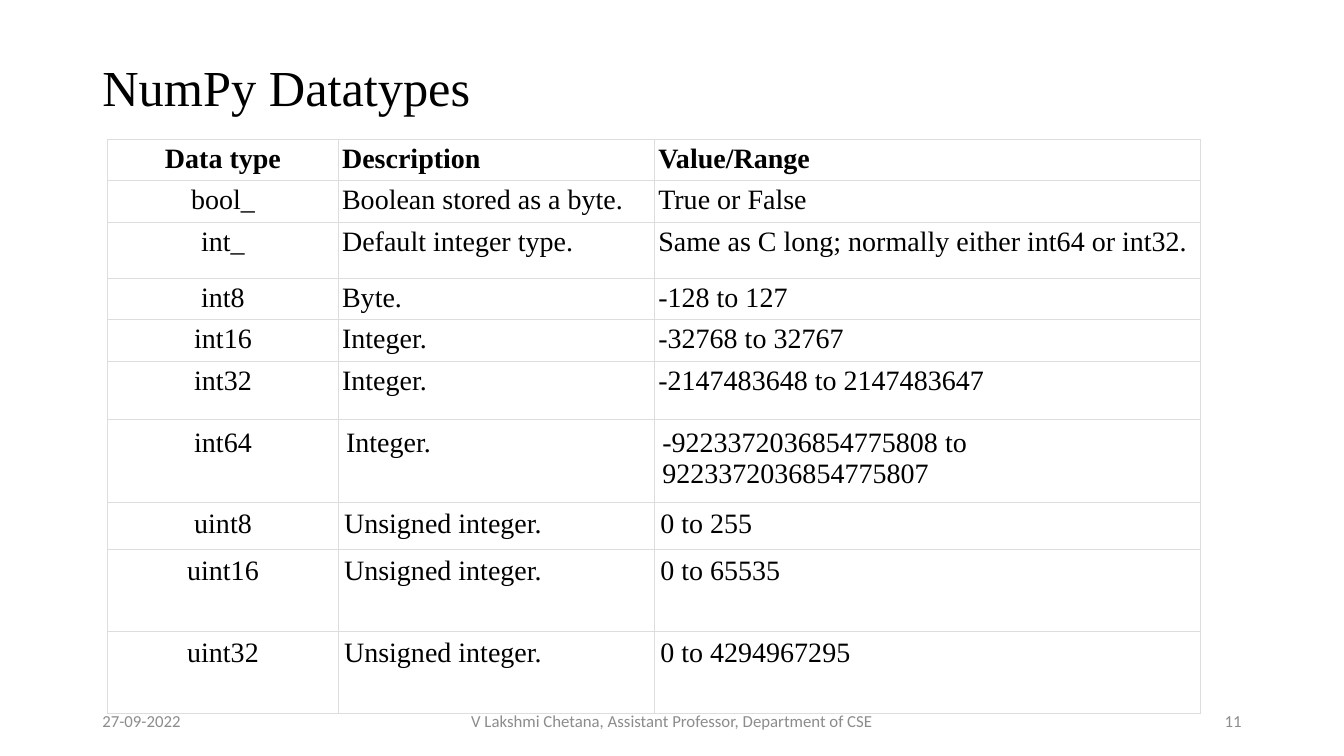
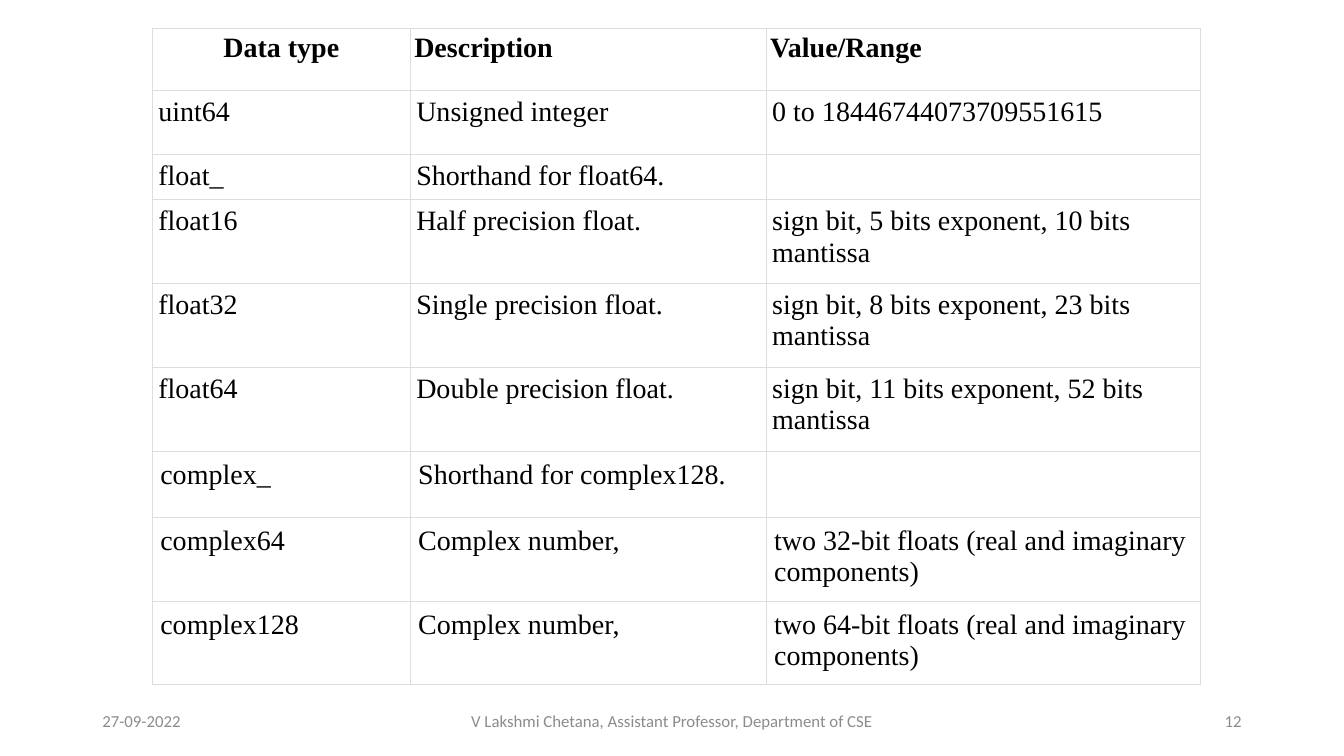
"""Build two slides of NumPy datatype tables."""
from dataclasses import dataclass

from lxml import etree
from pptx import Presentation
from pptx import util as u
from pptx.dml.color import RGBColor
from pptx.enum import text
from pptx.oxml import ns

LEFT, MID, RIGHT = text.PP_ALIGN.LEFT, text.PP_ALIGN.CENTER, text.PP_ALIGN.RIGHT


@dataclass(frozen=True)
class Theme:
    ink: str = "000000"
    paper: str = "FFFFFF"
    rule: str = "DDDDDD"
    faint: str = "8C8C8C"
    serif: str = "Times New Roman"
    sans: str = "Calibri"
    title: int = 36
    body: int = 20
    foot: int = 12
    line: float = 0.75


THEME = Theme()
HEAD = ("Data type", "Description", "Value/Range")
DATE = "27-09-2022"
AUTHOR = "V Lakshmi Chetana, Assistant Professor, Department of CSE"

SLIDES = [
    {
        "page": 11,
        "title": "NumPy Datatypes",
        "spot": (2.72, 3.51),
        "cols": (5.8, 7.97, 13.77),
        "key": MID,
        "rows": [
            (1.01, 0.1, HEAD),
            (1.01, 0.1, ("bool_", "Boolean stored as a byte.", "True or False")),
            (1.4, 0.1, ("int_", "Default integer type.",
                        "Same as C long; normally either int64 or int32.")),
            (1.01, 0.1, ("int8", "Byte.", "-128 to 127")),
            (1.01, 0.1, ("int16", "Integer.", "-32768 to 32767")),
            (1.47, 0.1, ("int32", "Integer.", "-2147483648 to 2147483647")),
            (2.07, 0.2, ("int64", "Integer.",
                         "-9223372036854775808 to 9223372036854775807")),
            (1.17, 0.15, ("uint8", "Unsigned integer.", "0 to 255")),
            (2.07, 0.15, ("uint16", "Unsigned integer.", "0 to 65535")),
            (2.07, 0.15, ("uint32", "Unsigned integer.", "0 to 4294967295")),
        ],
    },
    {
        "page": 12,
        "title": "",
        "spot": (3.84, 0.71),
        "cols": (6.5, 8.97, 10.95),
        "key": LEFT,
        "rows": [
            (1.58, 0.1, HEAD),
            (1.6, 0.15, ("uint64", "Unsigned integer", "0 to 18446744073709551615")),
            (1.11, 0.15, ("float_", "Shorthand for float64.", "")),
            (2.11, 0.15, ("float16", "Half precision float.",
                          "sign bit, 5 bits exponent, 10 bits mantissa")),
            (2.11, 0.15, ("float32", "Single precision float.",
                          "sign bit, 8 bits exponent, 23 bits mantissa")),
            (2.11, 0.15, ("float64", "Double precision float.",
                          "sign bit, 11 bits exponent, 52 bits mantissa")),
            (1.67, 0.2, ("complex_", "Shorthand for complex128.", "")),
            (2.11, 0.2, ("complex64", "Complex number,",
                         "two 32-bit floats (real and imaginary components)")),
            (2.11, 0.2, ("complex128", "Complex number,",
                         "two 64-bit floats (real and imaginary components)")),
        ],
    },
]


def style(para, size, face, tint, align=LEFT, bold=False):
    """Align a paragraph and format its runs."""
    para.alignment = align
    for run in para.runs:
        font = run.font
        font.size, font.name, font.bold = u.Pt(size), face, bold
        font.color.rgb = RGBColor.from_string(tint)


def label(slide, words, spot, size, face, tint, align=LEFT):
    """Add a text box centred in height and return its paragraph."""
    frame = slide.shapes.add_textbox(*map(u.Cm, spot)).text_frame
    frame.word_wrap = True
    frame.vertical_anchor = text.MSO_ANCHOR.MIDDLE
    frame.text = words
    para = frame.paragraphs[0]
    style(para, size, face, tint, align)
    return para


def border(cell):
    """Draw thin rules on all four sides of a cell."""
    props = cell._tc.get_or_add_tcPr()
    for side in "LRTB":
        line = etree.SubElement(props, ns.qn(f"a:ln{side}"), w=str(u.Pt(THEME.line)))
        fill = etree.SubElement(line, ns.qn("a:solidFill"))
        etree.SubElement(fill, ns.qn("a:srgbClr"), val=THEME.rule)


def grid(slide, data):
    """Add the datatype table."""
    rows, cols = data["rows"], data["cols"]
    area = (*data["spot"], sum(cols), sum(row[0] for row in rows))
    table = slide.shapes.add_table(len(rows), len(cols), *map(u.Cm, area)).table
    table.first_row = table.horz_banding = False
    for col, width in zip(table.columns, cols):
        col.width = u.Cm(width)
    for r, (height, inset, words) in enumerate(rows):
        table.rows[r].height = u.Cm(height)
        for c, word in enumerate(words):
            cell = table.cell(r, c)
            cell.margin_left = cell.margin_right = u.Cm(inset)
            cell.margin_top = cell.margin_bottom = u.Cm(inset)
            border(cell)
            cell.fill.solid()
            cell.fill.fore_color.rgb = RGBColor.from_string(THEME.paper)
            cell.text_frame.text = word
            align = LEFT if c else MID if r == 0 else data["key"]
            style(cell.text_frame.paragraphs[0], THEME.body, THEME.serif,
                  THEME.ink, align, r == 0)


def footer(slide, page):
    """Add the date, author and page number."""
    parts = [(DATE, 2.33, 7.62, LEFT), (AUTHOR, 11.22, 11.43, MID),
             (str(page), 23.92, 7.62, RIGHT)]
    for words, left, width, align in parts:
        label(slide, words, (left, 17.65, width, 1.01),
              THEME.foot, THEME.sans, THEME.faint, align)


def main():
    """Build and save the deck."""
    deck = Presentation()
    deck.slide_width, deck.slide_height = u.Cm(33.87), u.Cm(19.05)
    for data in SLIDES:
        slide = deck.slides.add_slide(deck.slide_layouts[6])
        if data["title"]:
            para = label(slide, data["title"], (2.33, 1.01, 29.21, 2.51),
                         THEME.title, THEME.serif, THEME.ink)
            para.line_spacing = 0.9
        grid(slide, data)
        footer(slide, data["page"])
    deck.save("out.pptx")


if __name__ == "__main__":
    main()
